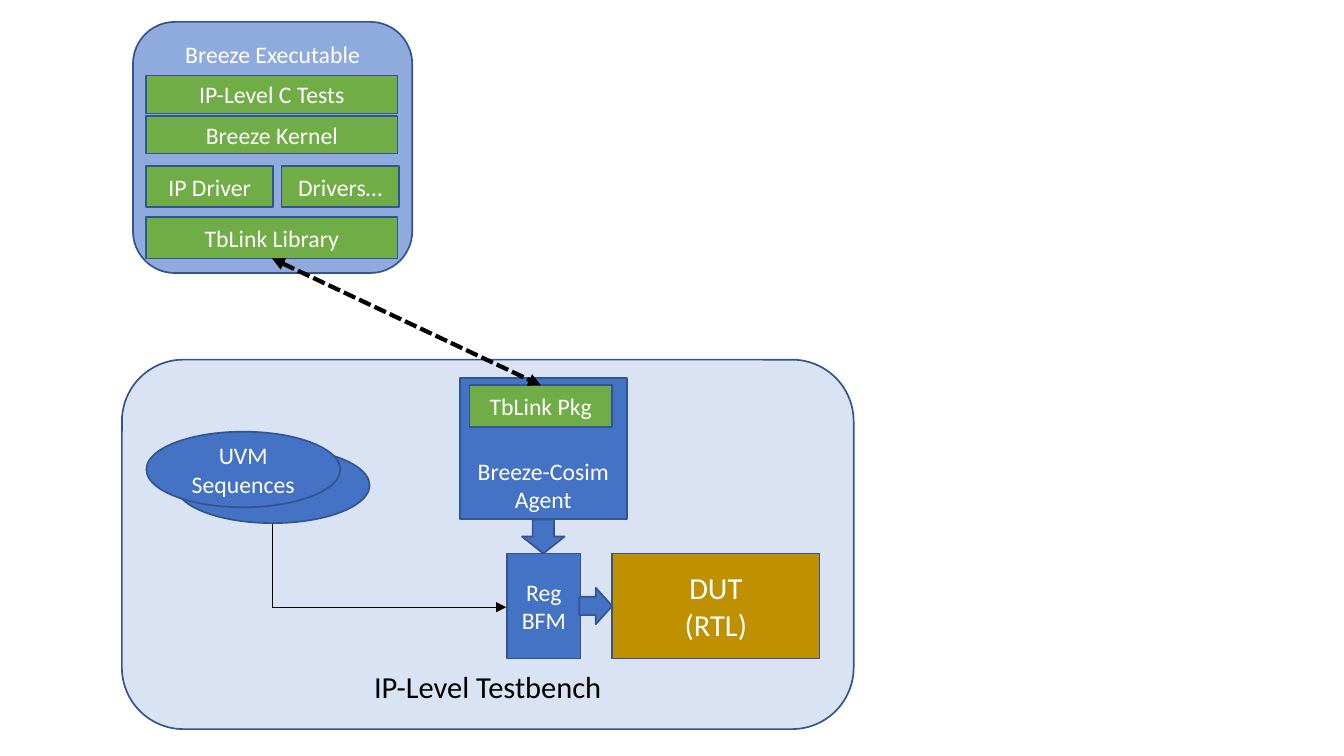
"""Build the Breeze co-simulation block diagram slide."""
from lxml.etree import SubElement
from pptx import Presentation
from pptx.dml.color import RGBColor
from pptx.enum.dml import MSO_LINE
from pptx.enum.shapes import MSO_CONNECTOR, MSO_SHAPE
from pptx.enum.text import MSO_ANCHOR, PP_ALIGN
from pptx.oxml.ns import qn
from pptx.util import Inches, Pt

BLACK = RGBColor(0x00, 0x00, 0x00)
WHITE = RGBColor(0xFF, 0xFF, 0xFF)
OUTLINE = RGBColor(0x32, 0x54, 0x90)
PALE_BLUE = RGBColor(0xDA, 0xE3, 0xF3)
LIGHT_BLUE = RGBColor(0x8F, 0xAA, 0xDC)
BLUE = RGBColor(0x44, 0x72, 0xC4)
GREEN = RGBColor(0x70, 0xAD, 0x47)
GOLD = RGBColor(0xBF, 0x90, 0x00)

deck = Presentation()
deck.slide_width, deck.slide_height = Inches(11.02), Inches(6.2)
slide = deck.slides.add_slide(deck.slide_layouts[6])


def add_block(text, left, top, width, height, kind=MSO_SHAPE.RECTANGLE, fill=BLUE,
              size=14, color=WHITE, anchor=MSO_ANCHOR.MIDDLE):
    block = slide.shapes.add_shape(kind, Inches(left), Inches(top), Inches(width), Inches(height))
    block.shadow.inherit = False
    block.fill.solid()
    block.fill.fore_color.rgb = fill
    block.line.color.rgb = OUTLINE
    block.line.width = Pt(1)
    if text:
        frame = block.text_frame
        frame.text = text
        frame.word_wrap = True
        frame.vertical_anchor = anchor
        for paragraph in frame.paragraphs:
            paragraph.alignment = PP_ALIGN.CENTER
            paragraph.font.name = "Calibri"
            paragraph.font.size = Pt(size)
            paragraph.font.color.rgb = color
    return block


def style_link(link, width, ends, dash=None):
    link.line.color.rgb = BLACK
    link.line.width = Pt(width)
    if dash:
        link.line.dash_style = dash
    properties = link._element.spPr
    for end in ends:
        SubElement(properties.find(qn("a:ln")), qn(end), type="triangle")
    SubElement(properties, qn("a:effectLst"))


add_block("IP-Level Testbench", 1, 2.95, 6, 3.03, kind=MSO_SHAPE.ROUNDED_RECTANGLE,
          fill=PALE_BLUE, size=18, color=BLACK, anchor=MSO_ANCHOR.BOTTOM)
add_block("DUT\n(RTL)", 5.02, 4.54, 1.7, 0.86, fill=GOLD, size=18)
add_block("Reg BFM", 4.16, 4.54, 0.6, 0.86)
add_block("", 4.75, 4.82, 0.27, 0.3, kind=MSO_SHAPE.RIGHT_ARROW)
add_block("", 4.28, 4.26, 0.35, 0.28, kind=MSO_SHAPE.DOWN_ARROW)
add_block("", 1.44, 3.67, 1.59, 0.62, kind=MSO_SHAPE.OVAL)
add_block("UVM Sequences", 1.2, 3.54, 1.59, 0.62, kind=MSO_SHAPE.OVAL)

sequence_link = slide.shapes.add_connector(
    MSO_CONNECTOR.ELBOW, Inches(2.85), Inches(3.68), Inches(3.53), Inches(5.6))
sequence_geometry = sequence_link._element.spPr
sequence_geometry.find(qn("a:prstGeom")).set("prst", "bentConnector2")
sequence_geometry.find(qn("a:xfrm")).set("rot", str(270 * 60000))
sequence_geometry.find(qn("a:xfrm")).set("flipH", "1")
style_link(sequence_link, 0.5, ["a:tailEnd"])

add_block("Breeze-Cosim Agent", 3.77, 3.1, 1.37, 1.16, anchor=MSO_ANCHOR.BOTTOM)
add_block("Breeze Executable", 1.09, 0.18, 2.29, 2.06, kind=MSO_SHAPE.ROUNDED_RECTANGLE,
          fill=LIGHT_BLUE, anchor=MSO_ANCHOR.TOP)

software = {}
for name, left, top, width, height in [
    ("IP-Level C Tests", 1.2, 0.62, 2.06, 0.31),
    ("Breeze Kernel", 1.2, 0.95, 2.06, 0.31),
    ("IP Driver", 1.2, 1.36, 1.04, 0.34),
    ("Drivers…", 2.31, 1.36, 0.96, 0.34),
    ("TbLink Library", 1.2, 1.78, 2.06, 0.34),
    ("TbLink Pkg", 3.85, 3.16, 1.17, 0.34),
]:
    software[name] = add_block(name, left, top, width, height, fill=GREEN)

tblink = slide.shapes.add_connector(
    MSO_CONNECTOR.STRAIGHT, Inches(2.23), Inches(2.12), Inches(4.43), Inches(3.16))
tblink.begin_connect(software["TbLink Library"], 2)
tblink.end_connect(software["TbLink Pkg"], 0)
style_link(tblink, 2.5, ["a:headEnd", "a:tailEnd"], dash=MSO_LINE.SQUARE_DOT)

deck.save("out.pptx")
